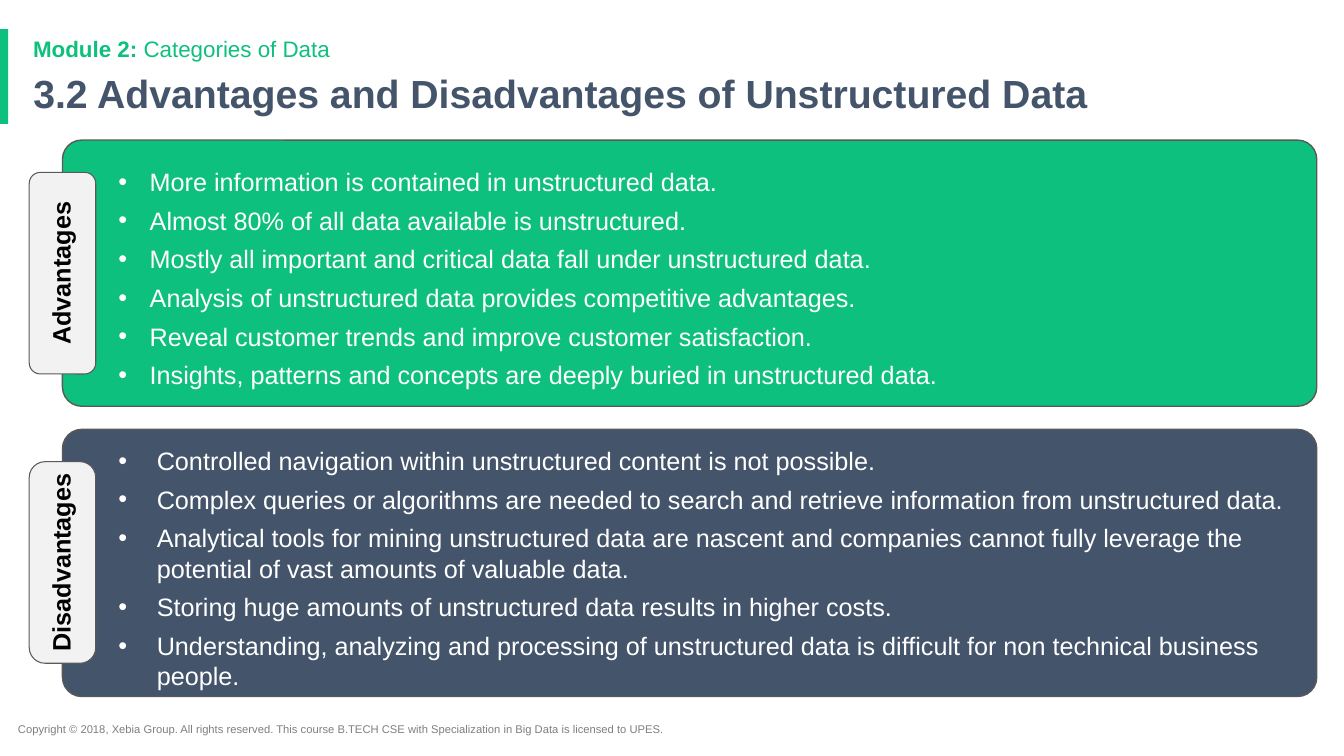
from lxml import etree
from pptx import Presentation
from pptx.dml.color import RGBColor
from pptx.enum.shapes import MSO_SHAPE
from pptx.enum.text import MSO_ANCHOR, MSO_AUTO_SIZE, PP_ALIGN
from pptx.oxml.ns import qn
from pptx.util import Pt

RECT, ROUND = MSO_SHAPE.RECTANGLE, MSO_SHAPE.ROUNDED_RECTANGLE
TOP, MIDDLE = MSO_ANCHOR.TOP, MSO_ANCHOR.MIDDLE
LEFT, CENTER = PP_ALIGN.LEFT, PP_ALIGN.CENTER
FIXED = MSO_AUTO_SIZE.NONE

PX = 9144  # 100 px to the inch
COLORS = {
    "green": "0EC07D", "slate": "44546A", "white": "FFFFFF", "black": "000000",
    "pale": "F2F2F2", "edge": "595959", "gray": "7F7F7F",
}
INSETS = (10, 5, 10, 5)

PANELS = [
    # name, top, height, fill, indent, tab corner, points
    ("Advantages", 139, 264, "green", 31, 0.167, [
        "More information is contained in unstructured data.",
        "Almost 80% of all data available is unstructured.",
        "Mostly all important and critical data fall under unstructured data.",
        "Analysis of unstructured data provides competitive advantages.",
        "Reveal customer trends and improve customer satisfaction.",
        "Insights, patterns and concepts are deeply buried in unstructured data.",
    ]),
    ("Disadvantages", 426, 265, "slate", 38, 0.237, [
        "Controlled navigation within unstructured content is not possible.",
        "Complex queries or algorithms are needed to search and retrieve "
        "information from unstructured data.",
        "Analytical tools for mining unstructured data are nascent and companies "
        "cannot fully leverage the potential of vast amounts of valuable data.",
        "Storing huge amounts of unstructured data results in higher costs.",
        "Understanding, analyzing and processing of unstructured data is "
        "difficult for non technical business people.",
    ]),
]


def color(name):
    return RGBColor.from_string(COLORS[name])


class Deck:
    font = "Arial"

    def __init__(self, wide, high):
        self.prs = Presentation()
        self.prs.slide_width, self.prs.slide_height = wide * PX, high * PX
        self.slide = self.prs.slides.add_slide(self.prs.slide_layouts[5])

    def frame(self, shape, insets, anchor):
        frame = shape.text_frame
        frame.auto_size = FIXED
        frame.word_wrap = True
        frame.vertical_anchor = anchor
        (frame.margin_left, frame.margin_top,
         frame.margin_right, frame.margin_bottom) = [n * PX for n in insets]
        return frame

    def run(self, para, text, size, tint, bold=False):
        run = para.add_run()
        run.text = text
        font = run.font
        font.name, font.size, font.bold = self.font, Pt(size), bold
        font.color.rgb = color(tint)

    def title(self, box, text):
        shape = self.slide.shapes.title
        shape.left, shape.top, shape.width, shape.height = [n * PX for n in box]
        para = self.frame(shape, INSETS, TOP).paragraphs[0]
        para.alignment, para.line_spacing = LEFT, 0.9
        self.run(para, text, 28, "slate", True)

    def text(self, box, size, tint, *runs):
        shape = self.slide.shapes.add_textbox(*[n * PX for n in box])
        para = self.frame(shape, INSETS, TOP).paragraphs[0]
        for words, bold in runs:
            self.run(para, words, size, tint, bold)

    def block(self, kind, box, fill, line=0, corner=0):
        shape = self.slide.shapes.add_shape(kind, *[n * PX for n in box])
        shape.shadow.inherit = False
        shape.fill.solid()
        shape.fill.fore_color.rgb = color(fill)
        if line:
            shape.line.color.rgb = color("edge")
            shape.line.width = Pt(line)
        else:
            shape.line.fill.background()
        if corner:
            shape.adjustments[0] = corner
        return shape

    def bullet(self, para, indent):
        props = para._p.get_or_add_pPr()
        props.set("marL", str(indent * PX))
        props.set("indent", str(-indent * PX))
        tint = etree.SubElement(props, qn("a:buClr"))
        etree.SubElement(tint, qn("a:srgbClr"), val=COLORS["white"])
        etree.SubElement(props, qn("a:buFont"), typeface=self.font)
        etree.SubElement(props, qn("a:buChar"), char="•")

    def panel(self, box, fill, indent, points):
        shape = self.block(ROUND, box, fill, 1, 0.072)
        frame = self.frame(shape, (50, 20, 10, 10), MIDDLE)
        for i, point in enumerate(points):
            para = frame.add_paragraph() if i else frame.paragraphs[0]
            self.bullet(para, indent)
            para.alignment = LEFT
            if i:
                para.space_before = Pt(6)
            self.run(para, point, 18, "white")
        para.space_after = Pt(6)

    def tab(self, box, corner, name):
        shape = self.block(ROUND, box, "pale", 0.75, corner)
        shape.rotation = 270
        para = self.frame(shape, (0, 0, 0, 0), MIDDLE).paragraphs[0]
        para.alignment, para.line_spacing = CENTER, 0.9
        self.run(para, name, 18, "black", True)


def main():
    deck = Deck(1333, 750)

    # Accent bar and footer
    deck.block(RECT, (0, 29, 8, 94), "green")
    deck.text((8, 712, 713, 24), 8, "gray", (
        "Copyright © 2018, Xebia Group. All rights reserved. This course B.TECH "
        "CSE with Specialization in Big Data is licensed to UPES.", False))

    # Heading
    deck.title((23, 69, 1150, 54),
               "3.2 Advantages and Disadvantages of Unstructured Data")
    deck.text((23, 30, 1150, 33), 16, "green",
              ("Module 2: ", True), ("Categories of Data", False))

    # Panels with side tabs
    for name, top, high, fill, indent, corner, points in PANELS:
        deck.panel((62, top, 1244, high), fill, indent, points)
        deck.tab((-38, top + 99, 200, 66), corner, name)

    deck.prs.save("out.pptx")


if __name__ == "__main__":
    main()
